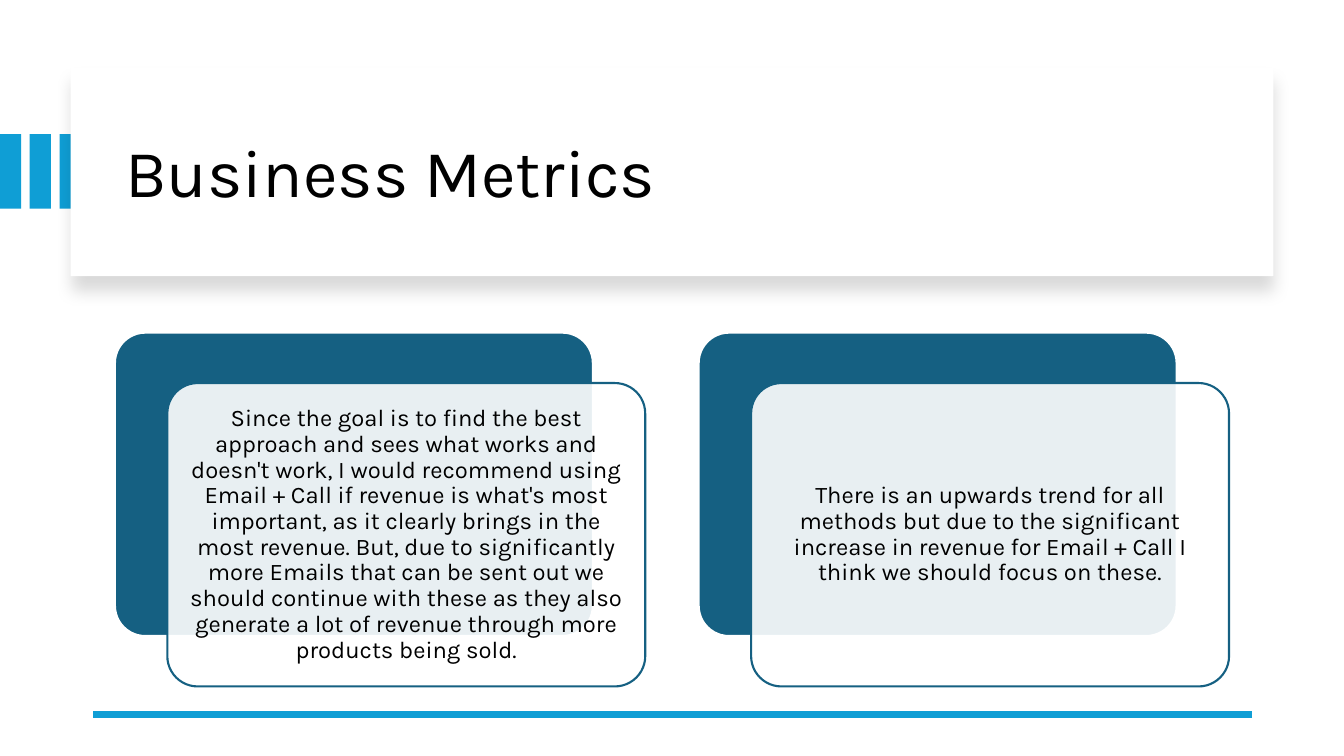
from dataclasses import dataclass

from lxml.etree import SubElement
from pptx import Presentation
from pptx.dml.color import RGBColor
from pptx.enum.shapes import MSO_CONNECTOR, MSO_SHAPE as Preset
from pptx.enum.text import MSO_ANCHOR as Anchor, PP_ALIGN as Align
from pptx.oxml.ns import qn
from pptx.util import Inches, Pt

COLORS = {"accent": "0F9ED5", "card": "156082", "white": "FFFFFF", "black": "000000"}
FONT = "Karla"


@dataclass
class Box:
    left: float
    top: float
    width: float
    height: float

    def lengths(self) -> tuple:
        return tuple(Inches(v) for v in (self.left, self.top, self.width, self.height))

    def moved(self, dx: float, dy: float) -> "Box":
        return Box(self.left + dx, self.top + dy, self.width, self.height)

    def inset(self, gap: float) -> "Box":
        return Box(self.left + gap, self.top + gap,
                   self.width - 2 * gap, self.height - 2 * gap)


@dataclass
class Card:
    left: float
    message: str


CARDS = [
    Card(1.14, "Since the goal is to find the best approach and sees what works and "
               "doesn't work, I would recommend using Email + Call if revenue is what's "
               "most important, as it clearly brings in the most revenue. But, due to "
               "significantly more Emails that can be sent out we should continue with "
               "these as they also generate a lot of revenue through more products being "
               "sold."),
    Card(6.93, "There is an upwards trend for all methods but due to the significant "
               "increase in revenue for Email + Call I think we should focus on these."),
]


def color(name: str) -> RGBColor:
    return RGBColor.from_string(COLORS[name])


def apply_format(target, values: dict) -> None:
    for name, value in values.items():
        setattr(target, name, value)


def add_block(slide, preset, box: Box, fill: str, outline: str = ""):
    block = slide.shapes.add_shape(preset, *box.lengths())
    block.shadow.inherit = False
    block.fill.solid()
    block.fill.fore_color.rgb = color(fill)
    if outline:
        block.line.color.rgb = color(outline)
        block.line.width = Pt(1.5)
    else:
        block.line.fill.background()
    if preset == Preset.ROUNDED_RECTANGLE:
        block.adjustments[0] = 0.1
    return block


def set_alpha(color_xml, percent: int) -> None:
    SubElement(color_xml, qn("a:alpha"), val=str(percent * 1000))


def add_soft_shadow(block) -> None:
    effects = block.element.spPr.find(qn("a:effectLst"))
    shadow = SubElement(effects, qn("a:outerShdw"), blurRad=str(Pt(11)),
                        dist=str(Pt(10)), dir=str(90 * 60000), algn="t", rotWithShape="0")
    set_alpha(SubElement(shadow, qn("a:srgbClr"), val=COLORS["black"]), 15)


def write_text(frame, text: str, size: float, align, frame_format: dict) -> None:
    apply_format(frame, {"word_wrap": True, "vertical_anchor": Anchor.MIDDLE, **frame_format})
    paragraph = frame.paragraphs[0]
    apply_format(paragraph, {"alignment": align, "line_spacing": 0.9})
    run = paragraph.add_run()
    run.text = text
    apply_format(run.font, {"name": FONT, "size": Pt(size)})
    run.font.color.rgb = color("black")


def add_card(slide, card: Card) -> None:
    back = Box(card.left, 3.3, 4.74, 3.01)
    front = back.moved(0.52, 0.5)
    add_block(slide, Preset.ROUNDED_RECTANGLE, back, "card", "white")
    sheet = add_block(slide, Preset.ROUNDED_RECTANGLE, front, "white", "card")
    set_alpha(sheet.element.spPr.find(qn("a:solidFill"))[0], 90)
    message = slide.shapes.add_textbox(*front.inset(0.09).lengths())
    margins = {f"margin_{side}": Inches(0.07) for side in ("left", "top", "right", "bottom")}
    write_text(message.text_frame, card.message, 17, Align.CENTER, margins)


def add_header(slide) -> None:
    # Accent bars, partly covered by the title panel
    for i in range(3):
        add_block(slide, Preset.RECTANGLE, Box(i * 0.295, 1.33, 0.21, 0.74), "accent")
    panel = add_block(slide, Preset.RECTANGLE, Box(0.7, 0.67, 11.93, 2.07), "white")
    add_soft_shadow(panel)

    # Title, brought in front of the panel
    title = slide.shapes.title
    places = Box(1.14, 0.89, 11.13, 1.7).lengths()
    apply_format(title, dict(zip(("left", "top", "width", "height"), places)))
    write_text(title.text_frame, "Business Metrics", 48, Align.LEFT, {})
    panel.element.addnext(title.element)


def add_footer_rule(slide) -> None:
    rule = slide.shapes.add_connector(MSO_CONNECTOR.STRAIGHT, Inches(12.42), Inches(7.09),
                                      Inches(0.92), Inches(7.09))
    rule.line.color.rgb = color("accent")
    rule.line.width = Pt(4.5)
    SubElement(rule.element.spPr, qn("a:effectLst"))


def main() -> None:
    deck = Presentation()
    apply_format(deck, {"slide_width": Inches(13.33), "slide_height": Inches(7.5)})
    slide = deck.slides.add_slide(deck.slide_layouts[5])
    add_header(slide)
    add_footer_rule(slide)
    for card in CARDS:
        add_card(slide, card)
    deck.save("out.pptx")


if __name__ == "__main__":
    main()
